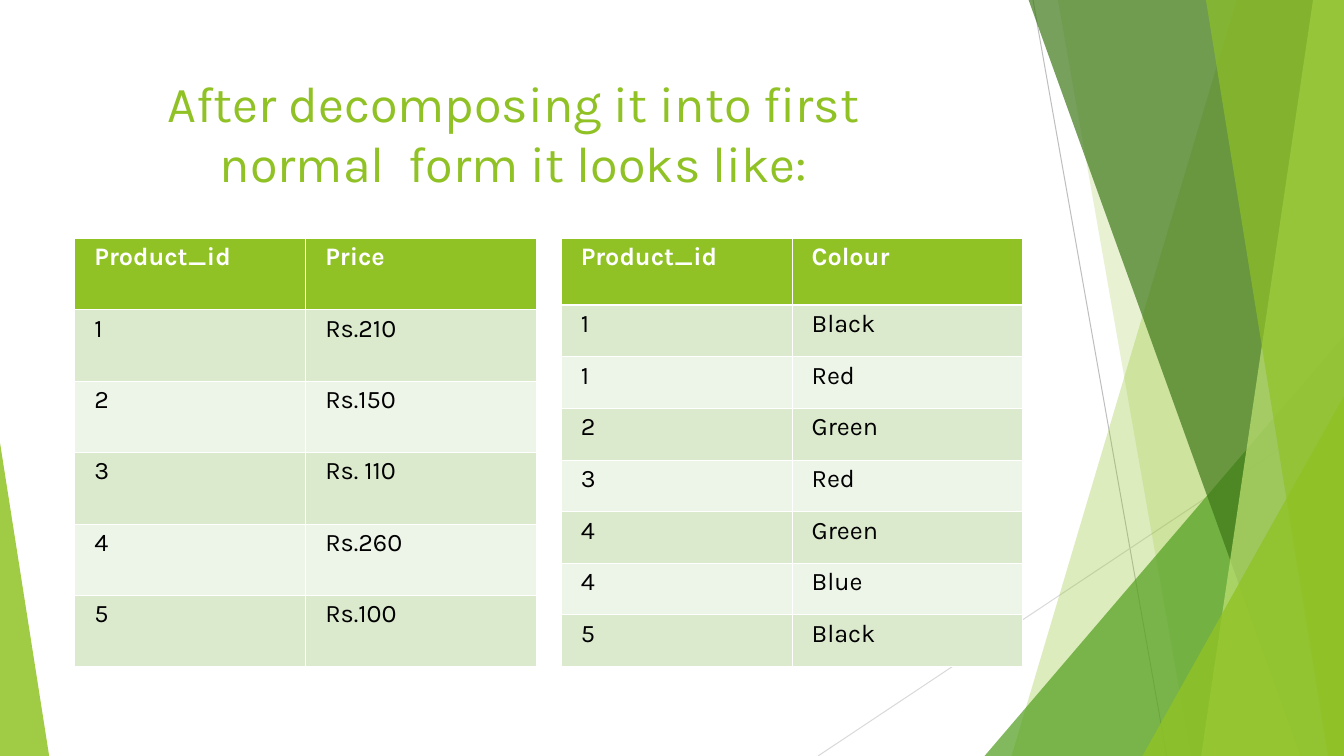
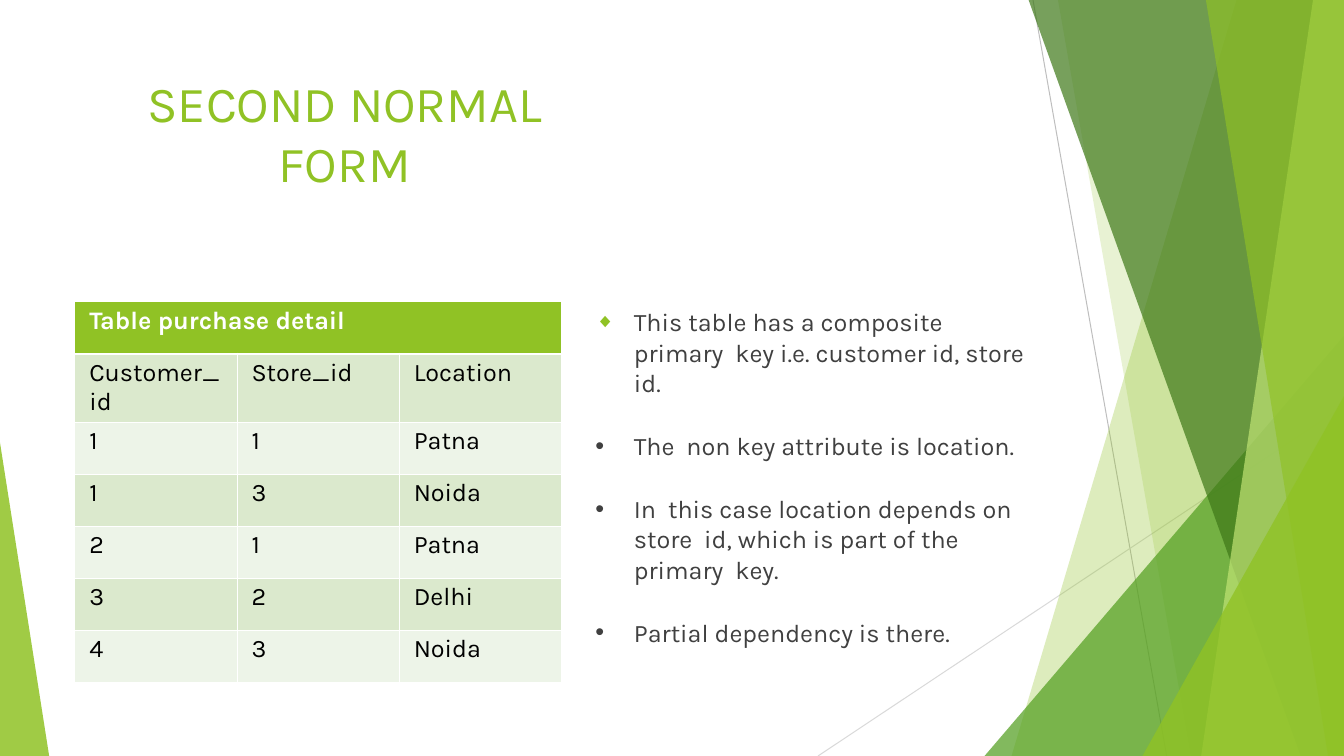
from lxml import etree
from pptx import Presentation
from pptx import util as u
from pptx.dml.color import RGBColor
from pptx.enum import shapes, text
from pptx.oxml.ns import qn

Cm, Pt = u.Cm, u.Pt

THEME = {
    "font": "Karla",
    "lime": "90C225",
    "leaf": "539F20",
    "forest": "3E7818",
    "pale": "C0E374",
    "bands": ("DBE9CD", "EDF4E8"),
    "white": "FFFFFF",
    "ink": "404040",
    "rules": ("BEBEBE", "D9D9D9"),
    "text": {
        "title": {"size": 36, "color": "90C225", "bold": False},
        "header": {"size": 18, "color": "FFFFFF", "bold": True},
        "cell": {"size": 18, "color": "000000", "bold": False},
        "body": {"size": 18, "color": "404040", "bold": False},
    },
}

WIDTH, HEIGHT = 33.88, 19.05

# Decoration, from back to front, in centimetres
RULES = [((26.04, 0), (29.41, HEIGHT)), ((WIDTH, 10.23), (20.62, HEIGHT))]
CORNER = (WIDTH, HEIGHT)
FACETS = [
    ("lime", 30, [(WIDTH, 0), (31.17, 0), (25.5, HEIGHT), CORNER]),
    ("lime", 20, [(WIDTH, 0), (26.67, 0), (30.02, HEIGHT), CORNER]),
    ("leaf", 72, [(WIDTH, 8.46), (24.82, HEIGHT), CORNER]),
    ("forest", 70, [(WIDTH, 0), (25.93, 0), (32.79, HEIGHT), CORNER]),
    ("pale", 70, [(WIDTH, 0), (33.1, 0), (30.28, HEIGHT), CORNER]),
    ("lime", 65, [(WIDTH, 0), (30.4, 0), (33.48, HEIGHT), CORNER]),
    ("lime", 80, [(WIDTH, 9.98), (28.8, HEIGHT), CORNER]),
    ("lime", 85, [(0, 11.15), (0, HEIGHT), (1.24, HEIGHT)]),
]

PRICES = [
    ("Product_id", "Price"),
    ("1", "Rs.210"),
    ("2", "Rs.150"),
    ("3", "Rs. 110"),
    ("4", "Rs.260"),
    ("5", "Rs.100"),
]
COLOURS = [
    ("Product_id", "Colour"),
    ("1", "Black"),
    ("1", "Red"),
    ("2", "Green"),
    ("3", "Red"),
    ("4", "Green"),
    ("4", "Blue"),
    ("5", "Black"),
]
PURCHASES = [
    ("Table purchase detail", "", ""),
    ("Customer_id", "Store_id", "Location"),
    ("1", "1", "Patna"),
    ("1", "3", "Noida"),
    ("2", "1", "Patna"),
    ("3", "2", "Delhi"),
    ("4", "3", "Noida"),
]
POINTS = [
    "This table has a composite primary  key i.e. customer id, store id.",
    "The  non key attribute is location.",
    "In  this case location depends on store  id, which is part of the primary  key.",
    "Partial dependency is there.",
]

# left, top, column width, header height, row height, cell indent, rows
SLIDES = [
    {
        "title": "After decomposing it into first normal  form it looks like:",
        "title_width": 21.69,
        "tables": [
            (1.88, 6, 5.82, 1.8, 1.8, 0.5, PRICES),
            (14.14, 6, 5.82, 1.69, 1.3, 0.5, COLOURS),
        ],
        "points": [],
    },
    {
        "title": "SECOND NORMAL FORM",
        "title_width": 13.16,
        "tables": [(1.88, 7.6, 4.09, 1.31, 1.31, 0.37, PURCHASES)],
        "points": POINTS,
    },
]


def write(paragraph, words, role):
    """Put words in the paragraph, in the theme's style for the role."""
    style = THEME["text"][role]
    font = paragraph.add_run().font
    paragraph.runs[0].text = words
    formats = {"name": THEME["font"], "size": Pt(style["size"]), "bold": style["bold"]}
    for name, value in formats.items():
        setattr(font, name, value)
    font.color.rgb = RGBColor.from_string(style["color"])


def add_text_frame(slide, left, top, width, height):
    frame = slide.shapes.add_textbox(Cm(left), Cm(top), Cm(width), Cm(height)).text_frame
    formats = {
        "word_wrap": True,
        "auto_size": text.MSO_AUTO_SIZE.NONE,
        "margin_left": 0,
        "margin_right": 0,
        "margin_top": Cm(0.06),
        "margin_bottom": 0,
    }
    for name, value in formats.items():
        setattr(frame, name, value)
    return frame


deck = Presentation()
deck.slide_width, deck.slide_height = Cm(WIDTH), Cm(HEIGHT)

for content in SLIDES:
    slide = deck.slides.add_slide(deck.slide_layouts[6])

    for (start, end), color in zip(RULES, THEME["rules"]):
        rule = slide.shapes.add_connector(
            shapes.MSO_CONNECTOR.STRAIGHT, *(Cm(n) for n in start + end)
        )
        rule.line.color.rgb = RGBColor.from_string(color)
        rule.line.width = Pt(0.71)
        etree.SubElement(rule._element.spPr, qn("a:effectLst"))

    for color, opacity, corners in FACETS:
        first, *others = [(Cm(x), Cm(y)) for x, y in corners]
        outline = slide.shapes.build_freeform(*first)
        outline.add_line_segments(others, close=True)
        facet = outline.convert_to_shape()
        facet.shadow.inherit = False
        facet.line.fill.background()
        facet.fill.solid()
        facet.fill.fore_color.rgb = RGBColor.from_string(THEME[color])
        tint = facet._element.spPr.find(qn("a:solidFill")).find(qn("a:srgbClr"))
        etree.SubElement(tint, qn("a:alpha"), val=str(opacity * 1000))

    title = add_text_frame(slide, 2.11, 1.75, content["title_width"], 3.12).paragraphs[0]
    title.alignment = text.PP_ALIGN.CENTER
    write(title, content["title"], "title")

    for left, top, column_width, header_height, row_height, indent, rows in content["tables"]:
        heights = [header_height] + [row_height] * (len(rows) - 1)
        columns = len(rows[0])
        table = slide.shapes.add_table(
            len(rows), columns, Cm(left), Cm(top), Cm(column_width * columns), Cm(sum(heights))
        ).table
        for column in table.columns:
            column.width = Cm(column_width)
        for r, (row, height) in enumerate(zip(rows, heights)):
            table.rows[r].height = Cm(height)
            for c, words in enumerate(row):
                cell = table.cell(r, c)
                formats = {
                    "margin_left": Cm(indent),
                    "margin_right": Cm(0.25),
                    "margin_top": Cm(0.11),
                    "margin_bottom": Cm(0.13),
                }
                for name, value in formats.items():
                    setattr(cell, name, value)
                thick = {0: "lnB", 1: "lnT"}.get(r)
                for side in ("lnL", "lnR", "lnT", "lnB"):
                    width = Pt(1.47 if side == thick else 0.45)
                    border = etree.SubElement(
                        cell._tc.get_or_add_tcPr(), qn(f"a:{side}"), w=str(int(width))
                    )
                    paint = etree.SubElement(border, qn("a:solidFill"))
                    etree.SubElement(paint, qn("a:srgbClr"), val=THEME["white"])
                cell.fill.solid()
                fill = THEME["bands"][(r - 1) % 2] if r else THEME["lime"]
                cell.fill.fore_color.rgb = RGBColor.from_string(fill)
                if words:
                    write(cell.text_frame.paragraphs[0], words, "cell" if r else "header")
        if not rows[0][-1]:
            table.cell(0, 0).merge(table.cell(0, columns - 1))

    if content["points"]:
        points = add_text_frame(slide, 14.99, 7.67, 11.05, 8.84)
        for i, words in enumerate(content["points"]):
            point = points.paragraphs[0] if i == 0 else points.add_paragraph()
            if i:
                point.space_before = Pt(23.5)
            properties = point._p.get_or_add_pPr()
            properties.set("marL", str(int(Cm(0.99))))
            properties.set("indent", str(int(Cm(-0.97))))
            mark, color, scale = ("•", THEME["ink"], 100) if i else ("◆", THEME["lime"], 78)
            paint = etree.SubElement(properties, qn("a:buClr"))
            etree.SubElement(paint, qn("a:srgbClr"), val=color)
            etree.SubElement(properties, qn("a:buSzPct"), val=str(scale * 1000))
            etree.SubElement(properties, qn("a:buFont"), typeface="Arial")
            etree.SubElement(properties, qn("a:buChar"), char=mark)
            write(point, words, "body")

deck.save("out.pptx")
